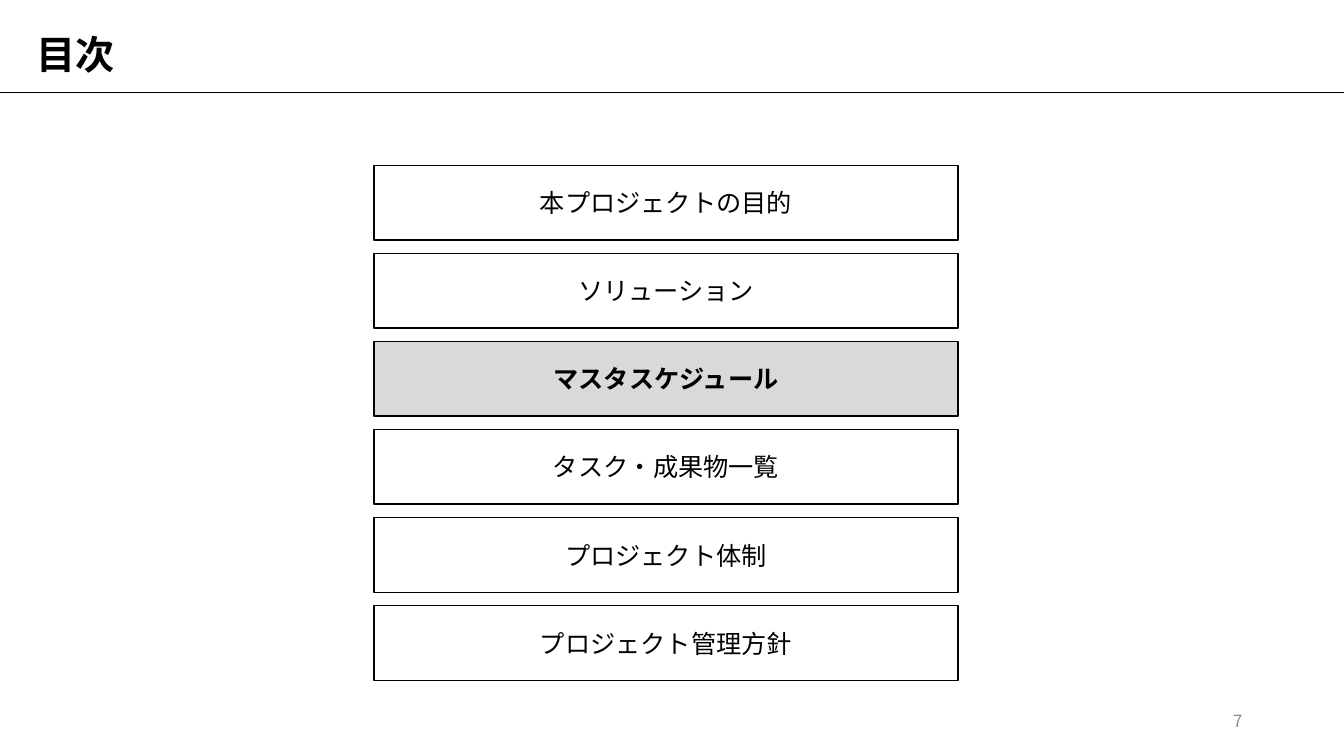
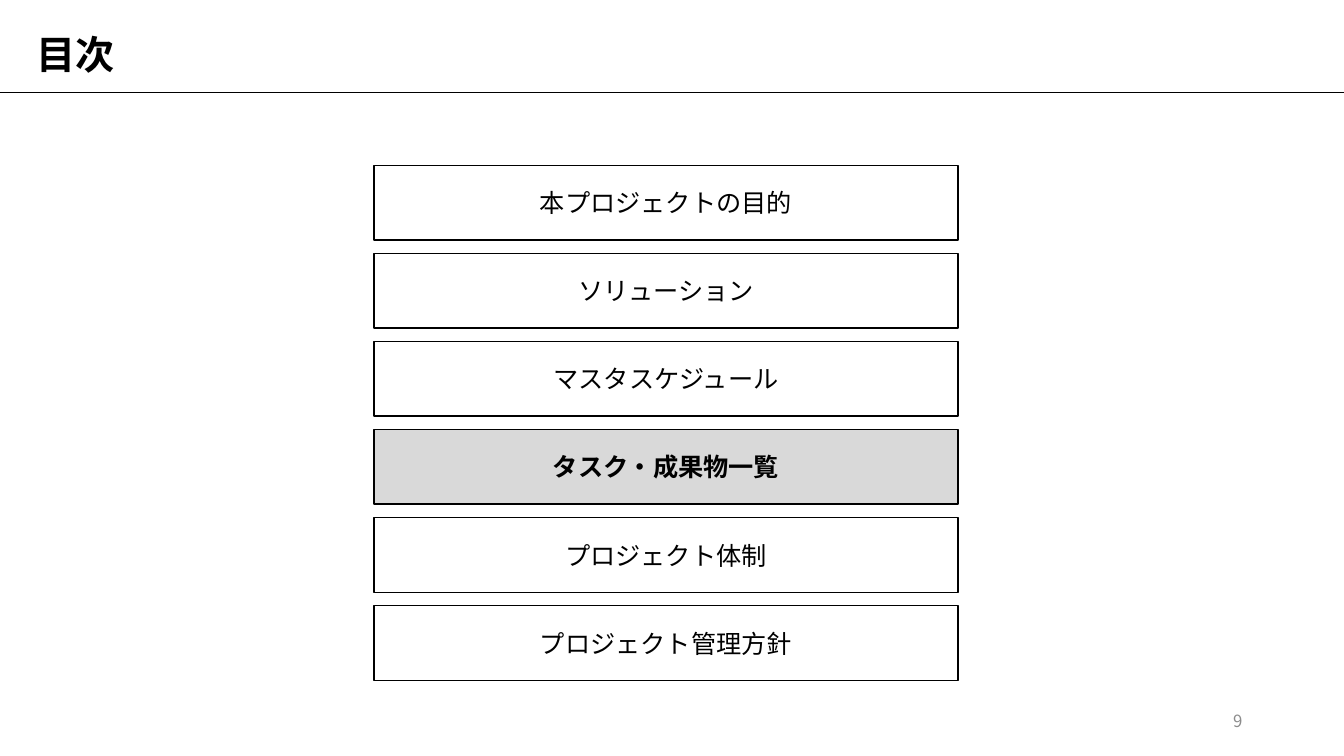
from lxml.etree import SubElement
from pptx import Presentation
from pptx.dml.color import RGBColor
from pptx.enum.shapes import MSO_CONNECTOR, MSO_SHAPE
from pptx.enum.text import MSO_ANCHOR, PP_ALIGN
from pptx.oxml.ns import qn
from pptx.util import Inches, Pt

BLACK = RGBColor(0x00, 0x00, 0x00)
WHITE = RGBColor(0xFF, 0xFF, 0xFF)
HIGHLIGHT_GRAY = RGBColor(0xD9, 0xD9, 0xD9)
NUMBER_GRAY = RGBColor(0x8C, 0x8C, 0x8C)
FONT = "Noto Sans CJK JP"

SLIDE_WIDTH, SLIDE_HEIGHT = Inches(13.33), Inches(7.5)
TITLE_BOX = Inches(0.26), Inches(0.21), Inches(12.69), Inches(0.7)
RULE_TOP = Inches(0.92)
NUMBER_BOX = Inches(9.42), Inches(6.95), Inches(3), Inches(0.4)
AGENDA_BOX = Inches(3.71), Inches(1.64), Inches(5.79), Inches(5.11)
ITEM_HEIGHT = Inches(0.74)

AGENDA_ITEMS = [
    "本プロジェクトの目的",
    "ソリューション",
    "マスタスケジュール",
    "タスク・成果物一覧",
    "プロジェクト体制",
    "プロジェクト管理方針",
]


def write_text(shape, text, size, color, alignment, bold=False):
    text_frame = shape.text_frame
    text_frame.text = text
    text_frame.word_wrap = True
    text_frame.vertical_anchor = MSO_ANCHOR.MIDDLE
    paragraph = text_frame.paragraphs[0]
    paragraph.alignment = alignment
    font = paragraph.font
    font.size, font.bold, font.name = Pt(size), bold, FONT
    font.color.rgb = color
    properties = paragraph._p.get_or_add_pPr().get_or_add_defRPr()
    SubElement(properties, qn("a:ea"), typeface=FONT)
    return paragraph


def add_title(slide, text, box):
    title = slide.shapes.title
    title.left, title.top, title.width, title.height = box
    paragraph = write_text(title, text, 28, BLACK, PP_ALIGN.LEFT, bold=True)
    paragraph.line_spacing = 0.9


def add_title_rule(slide, top, width):
    rule = slide.shapes.add_connector(MSO_CONNECTOR.STRAIGHT, 0, top, width, top)
    rule.line.color.rgb = BLACK
    rule.line.width = Pt(0.5)
    SubElement(rule._element.spPr, qn("a:effectLst"))


def add_slide_number(slide, number, box):
    text_box = slide.shapes.add_textbox(*box)
    write_text(text_box, str(number), 12, NUMBER_GRAY, PP_ALIGN.RIGHT)


def add_agenda(slide, items, current_item, box):
    left, top, width, height = box
    pitch = (height - ITEM_HEIGHT) / (len(items) - 1)
    for index, item in enumerate(items):
        is_current = item == current_item
        shape = slide.shapes.add_shape(
            MSO_SHAPE.RECTANGLE, left, round(top + index * pitch), width, ITEM_HEIGHT
        )
        shape.shadow.inherit = False
        shape.fill.solid()
        shape.fill.fore_color.rgb = HIGHLIGHT_GRAY if is_current else WHITE
        shape.line.color.rgb = BLACK
        shape.line.width = Pt(1)
        write_text(shape, item, 18, BLACK, PP_ALIGN.CENTER, bold=is_current)


def add_agenda_slide(presentation, current_item, number):
    title_only_layout = presentation.slide_layouts[5]
    slide = presentation.slides.add_slide(title_only_layout)
    add_title_rule(slide, RULE_TOP, SLIDE_WIDTH)
    add_title(slide, "目次", TITLE_BOX)
    add_slide_number(slide, number, NUMBER_BOX)
    add_agenda(slide, AGENDA_ITEMS, current_item, AGENDA_BOX)


presentation = Presentation()
presentation.slide_width, presentation.slide_height = SLIDE_WIDTH, SLIDE_HEIGHT
add_agenda_slide(presentation, "マスタスケジュール", 7)
add_agenda_slide(presentation, "タスク・成果物一覧", 9)
presentation.save("out.pptx")
